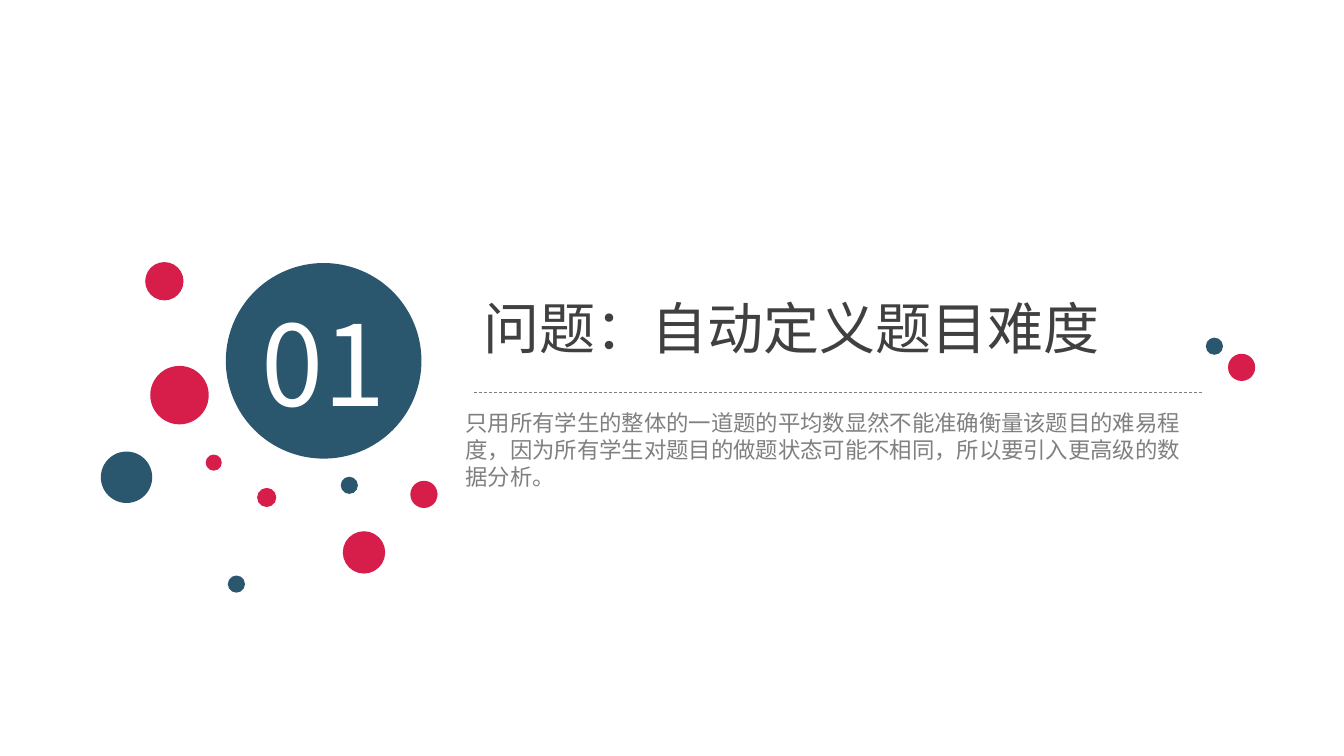
from dataclasses import dataclass

from lxml.etree import SubElement
from pptx import Presentation
from pptx.dml.color import RGBColor
from pptx.enum.dml import MSO_LINE
from pptx.enum.shapes import MSO_CONNECTOR, MSO_SHAPE
from pptx.enum.text import MSO_ANCHOR, MSO_AUTO_SIZE, PP_ALIGN
from pptx.oxml.ns import qn
from pptx.slide import Slide
from pptx.util import Emu, Pt

EMU_PER_PX = 9144  # 100 px to the inch
TEAL, CRIMSON = "2A566E", "D71D49"
WHITE, DARK, GREY = "FFFFFF", "404040", "808080"
CJK_FONT = "Noto Sans CJK SC"


@dataclass(frozen=True)
class Dot:
    left: int
    top: int
    size: int
    color: str


@dataclass(frozen=True)
class Label:
    text: str
    left: int
    top: int
    width: int
    height: int
    points: int
    color: str
    font: str = CJK_FONT
    align: PP_ALIGN = PP_ALIGN.LEFT
    anchor: MSO_ANCHOR = MSO_ANCHOR.TOP
    wrap: bool = True
    line_spacing: float = 1.0


DOTS = [
    Dot(100, 448, 51, TEAL),
    Dot(204, 451, 16, CRIMSON),
    Dot(407, 477, 27, CRIMSON),
    Dot(338, 473, 17, TEAL),
    Dot(340, 527, 42, CRIMSON),
    Dot(255, 484, 19, CRIMSON),
    Dot(144, 260, 38, CRIMSON),
    Dot(149, 363, 58, CRIMSON),
    Dot(1196, 335, 17, TEAL),
    Dot(1218, 351, 27, CRIMSON),
    Dot(226, 571, 17, TEAL),
    Dot(224, 261, 194, TEAL),
]

LABELS = [
    Label("01", 245, 287, 152, 145, 80, WHITE, align=PP_ALIGN.CENTER, wrap=False),
    Label("问题：自动定义题目难度", 470, 272, 663, 91, 40, DARK, font="Arial",
          anchor=MSO_ANCHOR.MIDDLE, line_spacing=1.2),
    Label("只用所有学生的整体的一道题的平均数显然不能准确衡量该题目的难易程度，"
          "因为所有学生对题目的做题状态可能不相同，所以要引入更高级的数据分析。",
          452, 401, 741, 91, 16, GREY),
]


def px(length: int) -> Emu:
    return Emu(length * EMU_PER_PX)


def rgb(color: str) -> RGBColor:
    return RGBColor.from_string(color)


def draw_dot(page: Slide, dot: Dot) -> None:
    circle = page.shapes.add_shape(
        MSO_SHAPE.OVAL, px(dot.left), px(dot.top), px(dot.size), px(dot.size))
    circle.shadow.inherit = False
    circle.fill.solid()
    circle.fill.fore_color.rgb = rgb(dot.color)
    circle.line.fill.background()


def draw_divider(page: Slide, left: int, right: int, y: int) -> None:
    divider = page.shapes.add_connector(
        MSO_CONNECTOR.STRAIGHT, px(left), px(y), px(right), px(y))
    divider.line.color.rgb = rgb(GREY)
    divider.line.width = Pt(0.5)
    divider.line.dash_style = MSO_LINE.DASH
    SubElement(divider.element.spPr, qn("a:effectLst"))


def draw_label(page: Slide, label: Label) -> None:
    box = page.shapes.add_textbox(
        px(label.left), px(label.top), px(label.width), px(label.height))
    frame = box.text_frame
    frame.word_wrap = label.wrap
    frame.auto_size = MSO_AUTO_SIZE.SHAPE_TO_FIT_TEXT
    frame.vertical_anchor = label.anchor
    para = frame.paragraphs[0]
    para.alignment = label.align
    para.line_spacing = label.line_spacing
    span = para.add_run()
    span.text = label.text
    span.font.size = Pt(label.points)
    span.font.color.rgb = rgb(label.color)
    span.font.name = label.font
    east_asian = SubElement(span.font._element, qn("a:ea"))
    east_asian.set("typeface", CJK_FONT)


def main() -> None:
    deck = Presentation()
    deck.slide_width, deck.slide_height = px(1333), px(750)
    page = deck.slides.add_slide(deck.slide_layouts[6])
    for dot in DOTS:
        draw_dot(page, dot)
    draw_divider(page, 470, 1193, 389)
    for label in LABELS:
        draw_label(page, label)
    deck.save("out.pptx")


if __name__ == "__main__":
    main()
